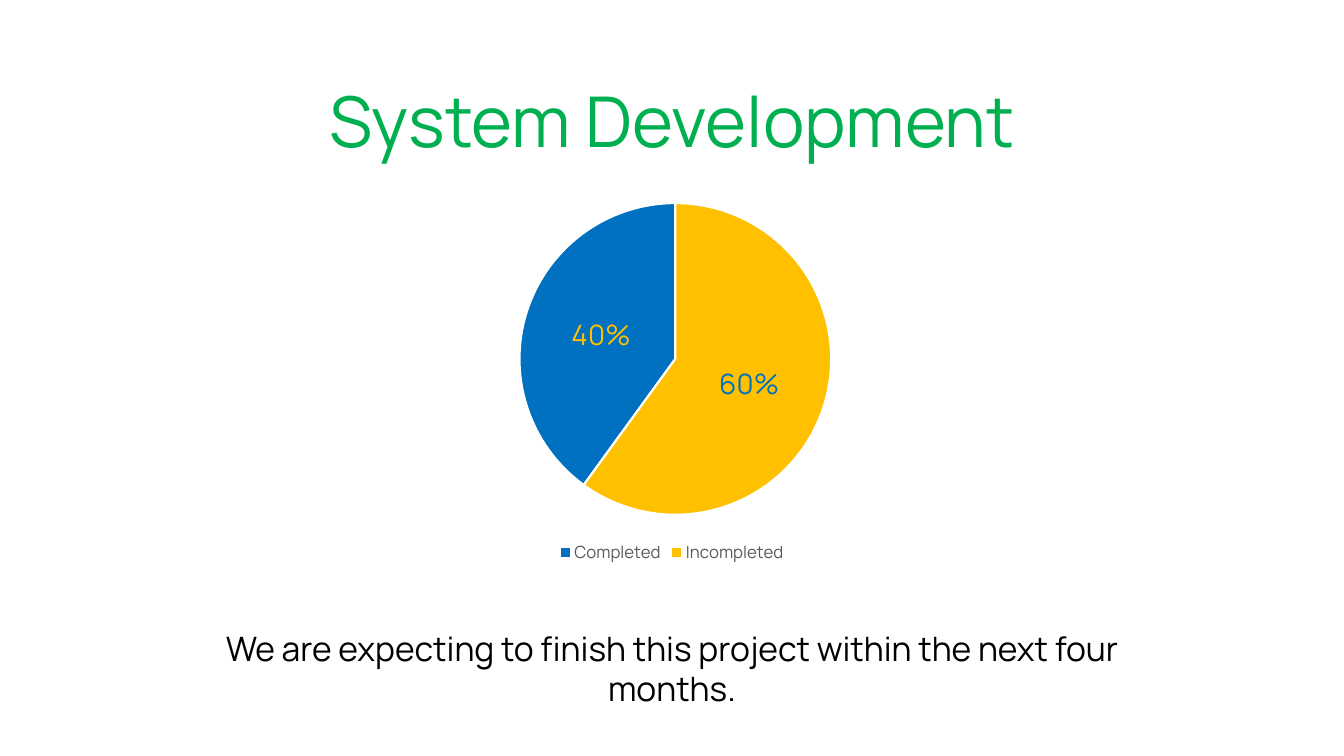
from lxml import etree
from pptx import Presentation
from pptx.chart.data import CategoryChartData
from pptx.dml.color import RGBColor
from pptx.enum.chart import XL_CHART_TYPE as ChartType
from pptx.enum.chart import XL_LABEL_POSITION as LabelPos
from pptx.enum.chart import XL_LEGEND_POSITION as LegendPos
from pptx.enum.text import PP_ALIGN as Align
from pptx.util import Pt

PX = 9525
FONT = "Manrope"
GREEN = RGBColor(0x00, 0xB0, 0x50)
BLUE = RGBColor(0x00, 0x70, 0xC0)
AMBER = RGBColor(0xFF, 0xC0, 0x00)
GREY = RGBColor(0x59, 0x59, 0x59)
BLACK = RGBColor(0x00, 0x00, 0x00)
WHITE = RGBColor(0xFF, 0xFF, 0xFF)


def set_font(font, size, color):
    font.name = FONT
    font.size = Pt(size)
    font.color.rgb = color


def add_text(slide, box, text, size, color, spacing):
    """Add a centred, wrapping text box; box is left, top, width, height in px."""
    tf = slide.shapes.add_textbox(*(n * PX for n in box)).text_frame
    tf.word_wrap = True
    p = tf.paragraphs[0]
    p.text = text
    p.alignment = Align.CENTER
    p.line_spacing = spacing
    set_font(p.runs[0].font, size, color)


prs = Presentation()
prs.slide_width = 1280 * PX
prs.slide_height = 720 * PX
slide = prs.slides.add_slide(prs.slide_layouts[6])

# Progress pie
data = CategoryChartData()
data.categories = ["Completed", "Incompleted"]
data.add_series("Series 1", (40, 60))
frame = slide.shapes.add_chart(
    ChartType.PIE, 322 * PX, 179 * PX, 636 * PX, 362 * PX, data)
chart = frame.chart
chart.has_title = False
set_font(chart.font, 12, GREY)
chart.has_legend = True
chart.legend.position = LegendPos.BOTTOM
chart.legend.include_in_layout = False
set_font(chart.legend.font, 12, GREY)

plot = chart.plots[0]
plot.vary_by_categories = True
slices = (("40%", BLUE, AMBER), ("60%", AMBER, BLUE))
for i, (label, fill, color) in enumerate(slices):
    point = plot.series[0].points[i]
    point.format.fill.solid()
    point.format.fill.fore_color.rgb = fill
    point.format.line.color.rgb = WHITE
    point.format.line.width = Pt(1.5)
    tf = point.data_label.text_frame
    tf.text = label
    set_font(tf.paragraphs[0].runs[0].font, 20, color)
    point.data_label.position = LabelPos.CENTER

# Slice rotation and plot placement
pie = chart._chartSpace.find(".//{*}pieChart")
ns = "{%s}" % pie.nsmap["c"]
for old in pie.findall(ns + "firstSliceAng"):
    pie.remove(old)
etree.SubElement(pie, ns + "firstSliceAng", val="216")
area = pie.getparent()
for old in area.findall(ns + "layout"):
    area.remove(old)
layout = etree.Element(ns + "layout")
manual = etree.SubElement(layout, ns + "manualLayout")
for tag, val in (("layoutTarget", "inner"), ("xMode", "edge"), ("yMode", "edge"),
                 ("x", "0.27"), ("y", "0.04"), ("w", "0.47"), ("h", "0.82")):
    etree.SubElement(manual, ns + tag, val=val)
area.insert(0, layout)

add_text(slide, (100, 78, 1080, 139), "System Development", 50, GREEN, 0.9)
add_text(slide, (154, 593, 972, 48),
         "We are expecting to finish this project within the next four months.",
         24, BLACK, 1.0)

prs.save("out.pptx")
